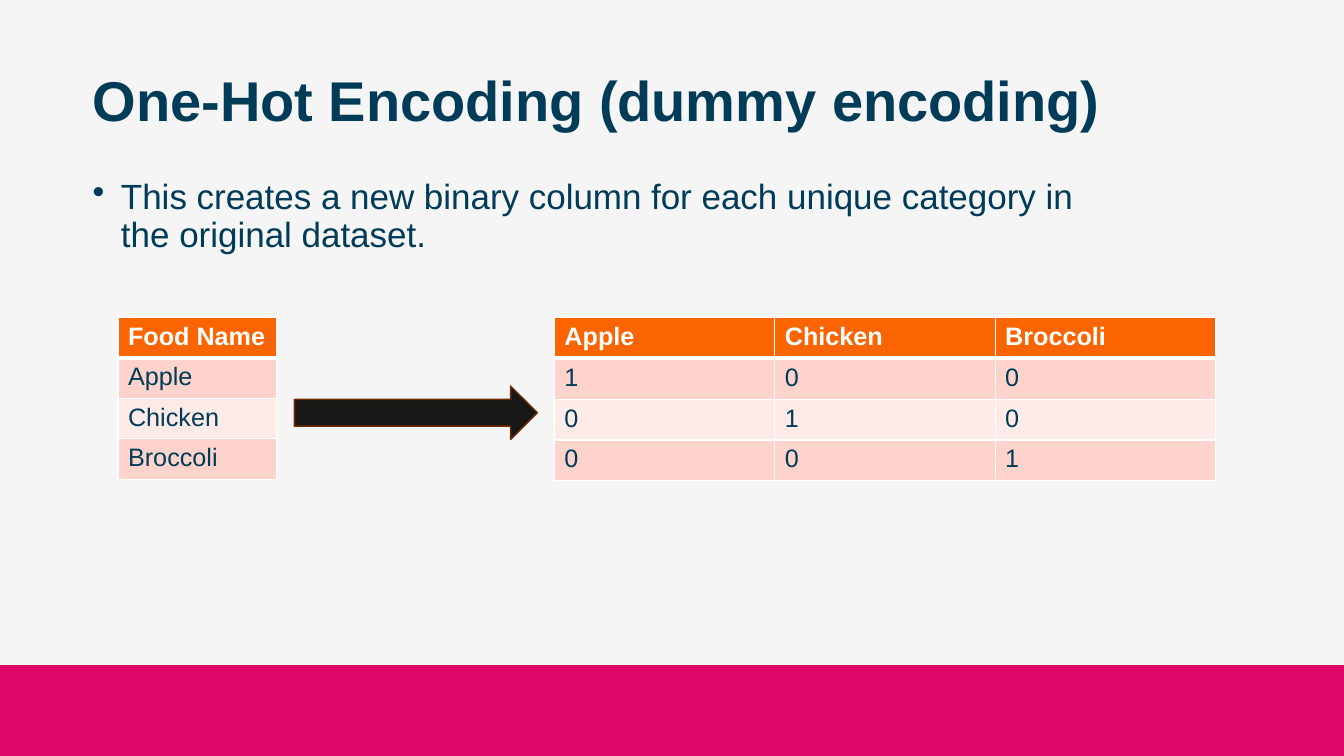
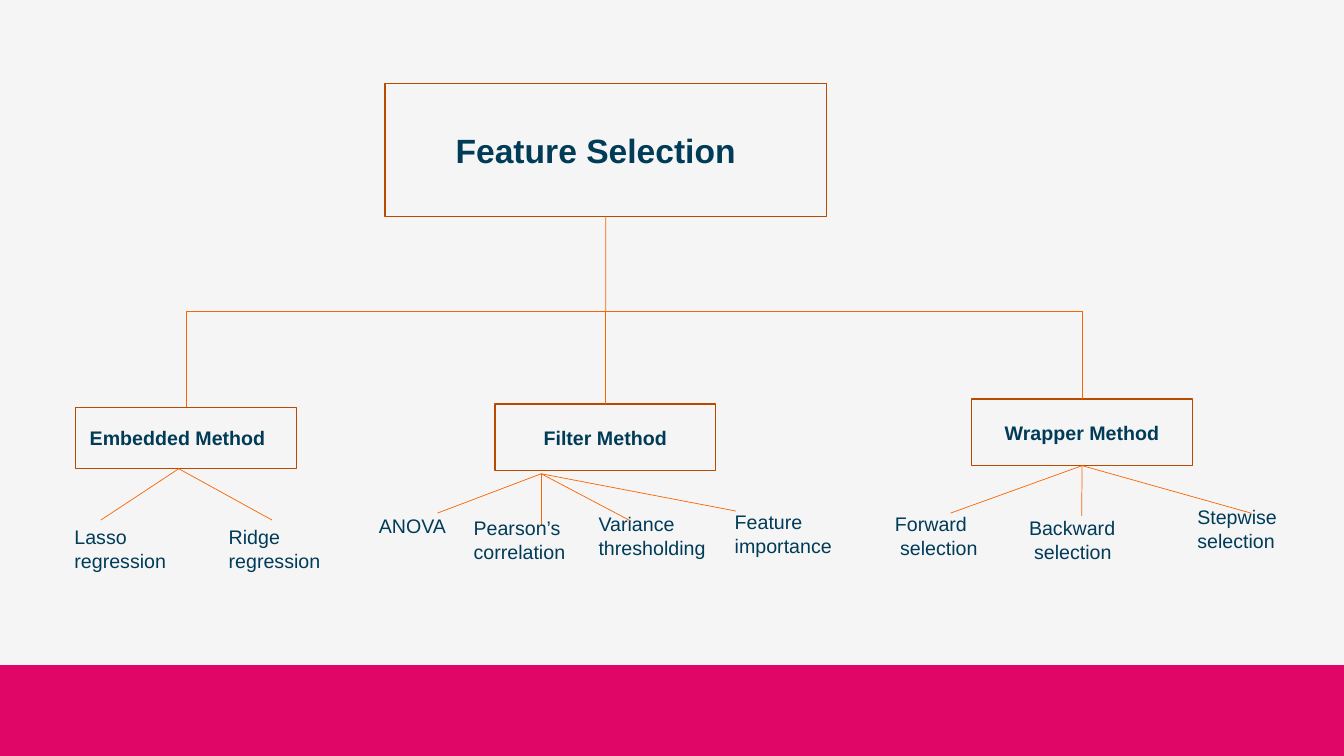
from lxml import etree
from pptx import Presentation
from pptx.dml.color import RGBColor
from pptx.enum.shapes import MSO_CONNECTOR, MSO_SHAPE
from pptx.enum.text import MSO_ANCHOR, PP_ALIGN
from pptx.oxml.ns import qn
from pptx.util import Inches, Pt

RECT, ARROW = MSO_SHAPE.RECTANGLE, MSO_SHAPE.RIGHT_ARROW
LINE = MSO_CONNECTOR.STRAIGHT
MIDDLE, CENTER = MSO_ANCHOR.MIDDLE, PP_ALIGN.CENTER
TOP, BOTTOM = 0, 2

# Grid: 100 columns by 100 rows over the slide
WIDE, HIGH = Inches(13.333), Inches(7.5)
COL, ROW = WIDE / 100, HIGH / 100

FONT = "Arial"
COLORS = {
    "back": "F5F5F6", "band": "DF0667", "title": "003C57", "text": "003B57",
    "white": "FFFFFF", "orange": "FA6401", "odd": "FDD3CC", "even": "FEEAE7",
    "frame": "B94A01", "arrow": "171716", "edge": "6E2C00",
}

# Method: name, box, right inset in columns, hub of the fan (None: box bottom),
# leaves as text, left, top, tip of the line, indent of the second line
METHODS = [
    ("Embedded Method", (5.63, 53.87, 16.43, 8.13), 2, (13.3, 62), [
        ("Lasso\nregression", 4.8, 68.8, (7.5, 68.8), 0),
        ("Ridge regression", 16.28, 68.8, (20.25, 68.8), 0)]),
    ("Filter Method", (36.83, 53.47, 16.43, 8.8), 0.75, (40.27, 62.67), [
        ("ANOVA", 27.45, 67.33, (32.55, 67.87), 0),
        ("Pearson’s correlation", 34.5, 67.6, (40.27, 69.6), 0),
        ("Variance thresholding", 43.8, 67.07, (46.95, 68.93), 0),
        ("Feature\nimportance", 53.93, 66.8, (54.75, 67.6), 0)]),
    ("Wrapper Method", (72.3, 52.8, 16.43, 8.8), 0.75, None, [
        ("Forward\nselection", 65.85, 67.07, (70.73, 67.87), 0.38),
        ("Backward\nselection", 75.83, 67.6, (80.48, 68.27), 0.38),
        ("Stepwise\nselection", 88.35, 66.13, (93.08, 67.87), 0)]),
]


def color(name):
    return RGBColor.from_string(COLORS[name])


def place(x, y, w, h):
    return round(x * COL), round(y * ROW), round(w * COL), round(h * ROW)


def style(para, size, ink="text", bold=False):
    font = para.font
    font.name, font.size, font.bold = FONT, Pt(size), bold
    font.color.rgb = color(ink)


def add_block(slide, kind, box, fill=None, edge=None):
    shape = slide.shapes.add_shape(kind, *place(*box))
    shape.shadow.inherit = False
    if fill:
        shape.fill.solid()
        shape.fill.fore_color.rgb = color(fill)
    else:
        shape.fill.background()
    if edge:
        shape.line.color.rgb = color(edge)
        shape.line.width = Pt(1)
    else:
        shape.line.fill.background()
    return shape


def add_label(slide, box, text, size, right):
    shape = add_block(slide, RECT, box, edge="frame")
    frame = shape.text_frame
    frame.margin_right = round(right * COL)
    frame.vertical_anchor, frame.word_wrap = MIDDLE, True
    para = frame.paragraphs[0]
    para.text, para.alignment = text, CENTER
    style(para, size, bold=True)
    return shape


def add_text(slide, box, text, size, ink="text", bold=False, inset=True):
    frame = slide.shapes.add_textbox(*place(*box)).text_frame
    frame.word_wrap = True
    if not inset:
        frame.margin_left = frame.margin_right = 0
        frame.margin_top = frame.margin_bottom = 0
    frame.text = text
    for para in frame.paragraphs:
        style(para, size, ink, bold)
    return frame.paragraphs


def indent(para, left, first=0, mark=None):
    props = para._p.get_or_add_pPr()
    props.set("marL", str(round(left * COL)))
    props.set("indent", str(round(first * COL)))
    if mark:
        bullet = etree.Element(qn("a:buChar"), char=mark)
        props.insert(0, bullet)


def add_line(slide, start, end):
    x1, y1, x2, y2 = (*place(*start, *end),)
    line = slide.shapes.add_connector(LINE, x1, y1, x2, y2)
    line.line.color.rgb = color("orange")
    line.line.width = Pt(0.5)
    etree.SubElement(line._element.spPr, qn("a:effectLst"))
    return line


def add_border(cell, side, width):
    props = cell._tc.get_or_add_tcPr()
    line = etree.SubElement(props, qn("a:ln" + side), w=str(Pt(width)))
    fill = etree.SubElement(line, qn("a:solidFill"))
    etree.SubElement(fill, qn("a:srgbClr"), val=COLORS["white"])


def add_grid(slide, x, y, wide, highs, data):
    count = len(data[0])
    box = place(x, y, wide * count, sum(highs))
    table = slide.shapes.add_table(len(data), count, *box).table
    for col in table.columns:
        col.width = round(wide * COL)
    for i, (high, line) in enumerate(zip(highs, data)):
        table.rows[i].height = round(high * ROW)
        head = i == 0
        fill = "orange" if head else "odd" if i % 2 else "even"
        for j, text in enumerate(line):
            cell = table.cell(i, j)
            for side in "LRTB":
                thick = (i, side) in ((0, "B"), (1, "T"))
                add_border(cell, side, 3 if thick else 1)
            cell.fill.solid()
            cell.fill.fore_color.rgb = color(fill)
            cell.text = text
            para = cell.text_frame.paragraphs[0]
            style(para, 18, "white" if head else "text", head)


def new_slide(deck):
    slide = deck.slides.add_slide(deck.slide_layouts[6])
    add_block(slide, RECT, (0, 88, 100, 12), fill="band")
    return slide


def one_hot(deck):
    slide = new_slide(deck)
    title = add_text(slide, (6.9, 9.33, 90.4, 10.67),
                     "One-Hot Encoding (dummy encoding)", 40, "title", True, False)
    title[0].line_spacing = 0.95
    body = add_text(slide, (6.9, 23.73, 75.75, 14),
                    "This creates a new binary column for each unique category "
                    "in the original dataset.", 25, inset=False)
    indent(body[0], 2.1, -2.1, "•")
    body[0].line_spacing = 0.9

    # Categories and their binary columns
    foods = ["Apple", "Chicken", "Broccoli"]
    add_grid(slide, 8.78, 42, 11.78, [5.07] * 3 + [5.4],
             [["Food Name"]] + [[food] for food in foods])
    add_grid(slide, 41.25, 42, 16.4, [5.4] * 4,
             [foods] + [[str(int(a == b)) for b in foods] for a in foods])
    add_block(slide, ARROW, (21.9, 51.07, 18.08, 7.07), "arrow", "edge")


def add_fan(slide, box, hub, leaves):
    for text, x, y, tip, shift in leaves:
        line = add_line(slide, hub or tip, tip)
        if hub is None:
            line.begin_connect(box, BOTTOM)
        paras = add_text(slide, (x, y, 11.6, 7.6), text, 14)
        if shift:
            indent(paras[1], shift)


def selection(deck):
    slide = new_slide(deck)
    bus = 41.2
    root = add_label(slide, (28.65, 11.07, 32.85, 17.6),
                     "Feature Selection", 24, 2.25)
    trunk = add_line(slide, (45.08, bus), (45.08, bus))
    trunk.begin_connect(root, BOTTOM)

    # Methods, each with its drop from the bus and its leaves
    mids = []
    for name, (x, y, w, h), right, hub, leaves in METHODS:
        box = add_label(slide, (x, y, w, h), name, 14, right)
        mids.append(x + w / 2)
        drop = add_line(slide, (mids[-1], bus), (mids[-1], y))
        drop.end_connect(box, TOP)
        add_fan(slide, box, hub, leaves)
    add_line(slide, (mids[0], bus), (mids[-1], bus))


def main():
    deck = Presentation()
    deck.slide_width, deck.slide_height = WIDE, HIGH
    back = deck.slide_master.background.fill
    back.solid()
    back.fore_color.rgb = color("back")
    one_hot(deck)
    selection(deck)
    deck.save("out.pptx")


if __name__ == "__main__":
    main()
